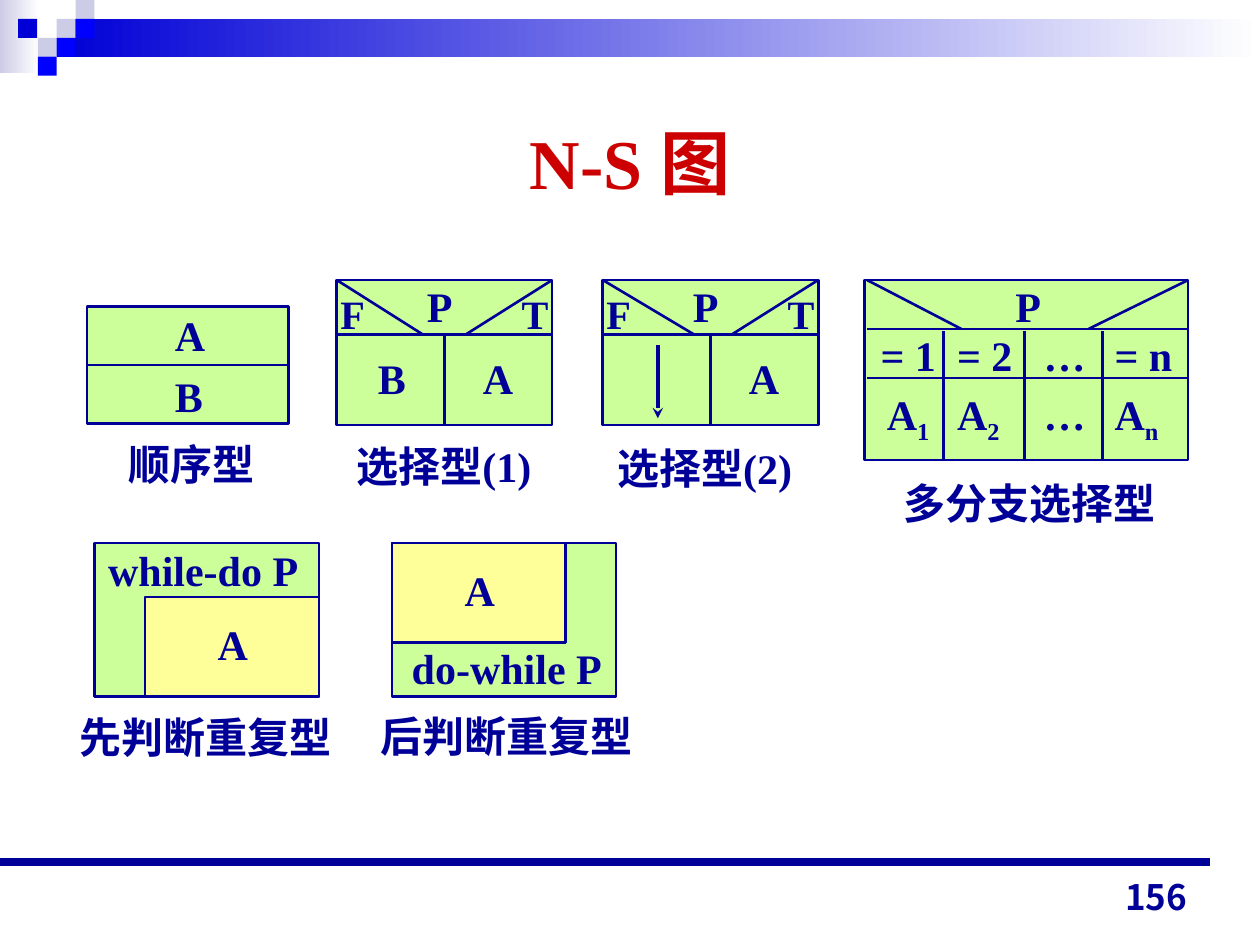
from typing import NamedTuple

from lxml.etree import SubElement
from pptx import Presentation
from pptx.dml.color import RGBColor
from pptx.enum.shapes import MSO_CONNECTOR, MSO_SHAPE
from pptx.enum.text import MSO_ANCHOR, MSO_AUTO_SIZE, PP_ALIGN
from pptx.oxml.ns import qn
from pptx.util import Pt

NAVY, BLUE, PURE_BLUE, LAVENDER = "000099", "0000D6", "0000FF", "CCCCE6"
GREEN, YELLOW, RED, WHITE = "CCFF99", "FFFF99", "CC0000", "FFFFFF"
SERIF, SANS = "Times New Roman", "Noto Sans CJK JP"
TOP, LEFT, BOTTOM, RIGHT = range(4)
MARGIN = 7.2


class Tile(NamedTuple):
    left: float
    top: float
    color: str


class Choice(NamedTuple):
    left: float
    slant_end: float
    branch: str


class Label(NamedTuple):
    text: str
    left: float
    top: float
    width: float
    wrap: bool = False


TILE_SIZE = 10.8
TILES = [
    Tile(32.4, 10.8, LAVENDER), Tile(43.2, 0, LAVENDER),
    Tile(43.2, 10.8, PURE_BLUE), Tile(21.6, 21.6, LAVENDER),
    Tile(10.4, 10.8, BLUE), Tile(32.4, 21.6, PURE_BLUE),
    Tile(21.6, 32.4, PURE_BLUE),
]
CHOICES = [Choice(192.4, 49, "B"), Choice(344.4, 52, "")]
CAPTIONS = [
    Label("顺序型", 66.2, 247, 86.4),
    Label("选择型(1)", 196.6, 248.4, 120.2),
    Label("选择型(2)", 345.6, 249.1, 120.2),
    Label("先判断重复型", 38.2, 403.2, 163.4, True),
    Label("后判断重复型", 210.2, 402.5, 187.2, True),
    Label("多分支选择型", 509, 269.3, 158.4),
]

deck = Presentation()
deck.slide_width, deck.slide_height = Pt(720), Pt(540)
page = deck.slides.add_slide(deck.slide_layouts[6])


def rgb(color: str) -> RGBColor:
    return RGBColor.from_string(color)


def add_box(left: float, top: float, width: float, height: float,
            color: str, outlined: bool = True, fade: bool = False):
    """Draw a rectangle; fade runs from the colour at left to white."""
    box = page.shapes.add_shape(
        MSO_SHAPE.RECTANGLE, Pt(left), Pt(top), Pt(width), Pt(height))
    box.shadow.inherit = False
    if fade:
        box.fill.gradient()
        box.fill.gradient_angle = 180
        for stop, shade in zip(box.fill.gradient_stops, (WHITE, color)):
            stop.color.rgb = rgb(shade)
    else:
        box.fill.solid()
        box.fill.fore_color.rgb = rgb(color)
    if outlined:
        box.line.color.rgb = rgb(NAVY)
        box.line.width = Pt(1.5)
    else:
        box.line.fill.background()
    return box


def add_line(x1: float, y1: float, x2: float, y2: float,
             weight: float = 1.5, arrow: bool = False):
    line = page.shapes.add_connector(
        MSO_CONNECTOR.STRAIGHT, Pt(x1), Pt(y1), Pt(x2), Pt(y2))
    line.line.color.rgb = rgb(NAVY)
    line.line.width = Pt(weight)
    if arrow:
        SubElement(line.line._get_or_add_ln(), qn("a:tailEnd"), type="stealth")
    SubElement(line._element.spPr, qn("a:effectLst"))
    return line


def add_text(text: str, left: float, top: float, width: float,
             height: float = 36, *, size: float = 24, font: str = SERIF,
             color: str = NAVY, align=PP_ALIGN.LEFT, anchor=MSO_ANCHOR.TOP,
             wrap: bool = False, grow: bool = True, space_before: float = 0,
             tab_stops=()):
    """Write one paragraph per line; text between underscores is subscript."""
    box = page.shapes.add_textbox(Pt(left), Pt(top), Pt(width), Pt(height))
    frame = box.text_frame
    frame.word_wrap = wrap
    frame.vertical_anchor = anchor
    frame.auto_size = (MSO_AUTO_SIZE.SHAPE_TO_FIT_TEXT if grow
                       else MSO_AUTO_SIZE.NONE)
    for index, content in enumerate(text.split("\n")):
        para = frame.add_paragraph() if index else frame.paragraphs[0]
        para.alignment = align
        para.space_before = Pt(space_before)
        if tab_stops:
            tabs = SubElement(para._p.get_or_add_pPr(), qn("a:tabLst"))
            for stop in tab_stops:
                SubElement(tabs, qn("a:tab"), pos=str(Pt(stop)), algn="l")
        for part, piece in enumerate(content.split("_")):
            if not piece:
                continue
            span = para.add_run()
            span.text = piece
            span.font.size, span.font.name, span.font.bold = Pt(size), font, True
            span.font.color.rgb = rgb(color)
            if part % 2:
                span.font._element.set("baseline", "-25000")
    return box


def draw_frame() -> None:
    add_box(0, 0, 22.3, 41.8, LAVENDER, outlined=False, fade=True)
    add_box(32.4, 10.8, 687.6, 21.6, BLUE, outlined=False, fade=True)
    for tile in TILES:
        add_box(tile.left, tile.top, TILE_SIZE, TILE_SIZE, tile.color,
                outlined=False)
    add_line(0, 492.5, 691.2, 492.5, weight=4.5)
    add_text("N-S 图", 36, 59.8, 648, 65.5, size=40, color=RED, wrap=True,
             align=PP_ALIGN.CENTER, anchor=MSO_ANCHOR.MIDDLE, grow=False)


def draw_sequence() -> None:
    box = add_box(49.7, 175, 115.2, 67, GREEN)
    divider = add_line(49.7, 208.5, 164.9, 208.5)
    divider.begin_connect(box, LEFT)
    divider.end_connect(box, RIGHT)
    add_text("A\nB", 92.9, 173.5, 31.7, 71.3, space_before=6)


def draw_choice(choice: Choice) -> None:
    left, top, width, height, head = choice.left, 160, 123.2, 83, 191
    right, middle = left + width, left + width / 2
    box = add_box(left, top, width, height, GREEN)
    add_line(left, head, right, head)
    add_line(middle, head, middle, top + height).end_connect(box, BOTTOM)
    add_line(right, top, left + 74, head)
    add_line(left, top, left + choice.slant_end, head)
    add_text("P", left + 44.5, 157, 28.8)
    add_text("F", left - 5, 162, 28, 35.3, size=23)
    add_text("T", left + 98.6, 162, 29.5, 35.3, size=23)
    add_text("A", left + 76.5, 198, 31.7)
    if choice.branch:
        add_text(choice.branch, left + 16.4, 198, 30.2)
    else:
        add_line(left + 31.5, 197.3, left + 31.5, 239, weight=2, arrow=True)


def draw_loop(left: float, text: Label, body_left: float,
              body_top: float) -> None:
    add_box(left, 310.3, 128.2, 87.8, GREEN)
    add_text(text.text, text.left, text.top, text.width)
    add_box(body_left, body_top, 99.4, 56.9, YELLOW)
    add_text("A", body_left + 34.5, body_top + 8.6, 31.7)


def draw_multiple_choice() -> None:
    left, right, top, bottom, head, row = 495.4, 679, 160, 263, 188, 216
    add_box(494, top, 185, bottom - top, GREEN)
    for y in (head, row):
        add_line(left, y, right, y)
    add_line(right, top, 622, head)
    add_line(left, top, 549.4, head)
    for x in (539.3, 585.4, 630):
        add_line(x, 189.4, x, bottom)
    add_text("P", 573.1, 157, 28.8)
    columns = (547, 596.5, 637)
    for text, start, y, width in (("= 1\t= 2\t…\t= n", 496.1, 185, 187),
                                  ("A_1_\tA_2_\t…\tA_n_", 499.7, 218.2, 172)):
        add_text(text, start, y, width, wrap=True,
                 tab_stops=[x - start - MARGIN for x in columns])


def main() -> None:
    draw_frame()
    draw_sequence()
    for choice in CHOICES:
        draw_choice(choice)
    draw_loop(54, Label("while-do P", 54.7, 307.4, 123.1), 82.8, 341.2)
    draw_loop(223.9, Label("do-while P", 228.2, 363.6, 123.1), 223.9, 310.3)
    draw_multiple_choice()
    for caption in CAPTIONS:
        add_text(caption.text, caption.left, caption.top, caption.width,
                 wrap=caption.wrap)
    add_text("156", 517.7, 491.8, 167.8, size=20, font=SANS, wrap=True,
             align=PP_ALIGN.RIGHT, anchor=MSO_ANCHOR.BOTTOM, grow=False)
    deck.save("out.pptx")


if __name__ == "__main__":
    main()
